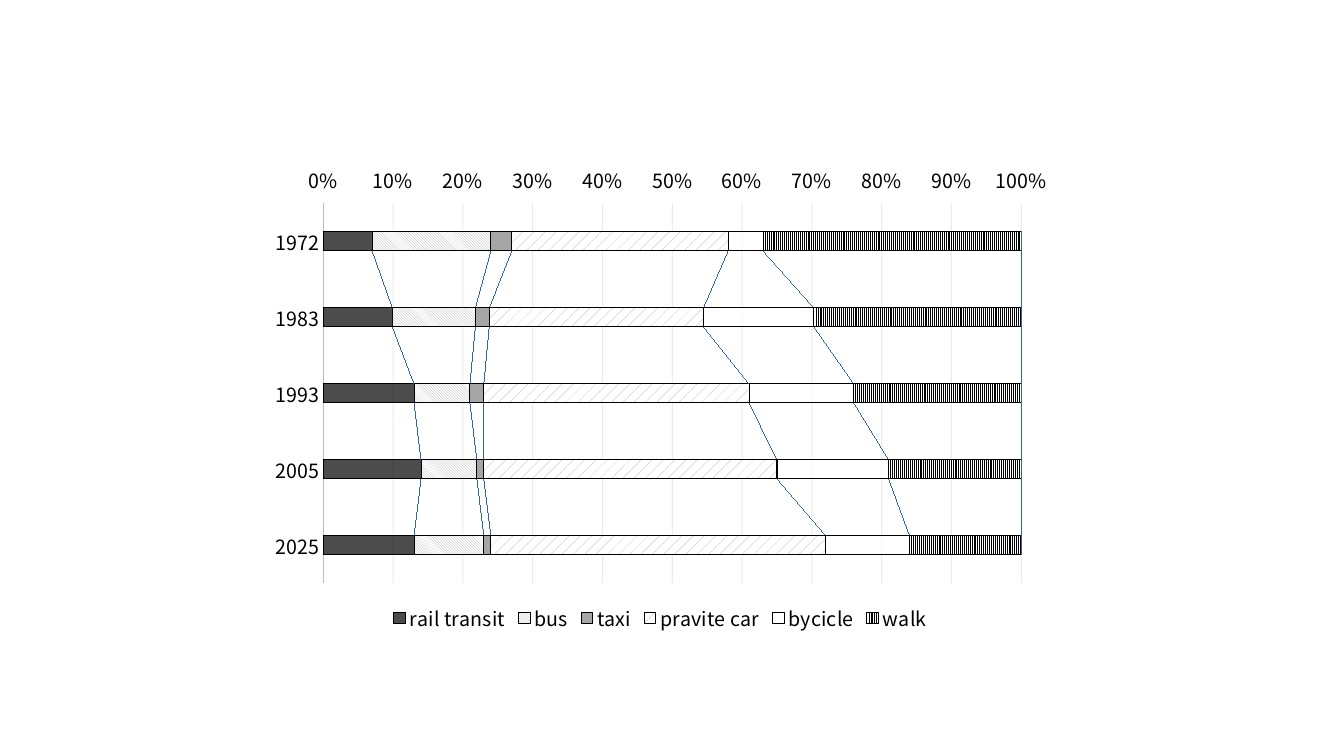
from lxml import etree
from pptx import Presentation
from pptx import util as u
from pptx.chart import data as chart_data
from pptx.dml.color import RGBColor
from pptx.enum import chart as charts
from pptx.enum.dml import MSO_PATTERN
from pptx.oxml.ns import qn

BLACK = RGBColor(0, 0, 0)
WHITE = RGBColor(255, 255, 255)
GRAY = RGBColor(0x80, 0x80, 0x80)
HATCH = RGBColor(0xA6, 0xA6, 0xA6)
AXIS = RGBColor(0xBF, 0xBF, 0xBF)
GRID = RGBColor(0xD9, 0xD9, 0xD9)
FONT = "Noto Sans CJK SC"

YEARS = ["1972", "1983", "1993", "2005", "2025"]
MODES = [
    ("rail transit", (7, 10, 13, 14, 13), BLACK, None),
    ("bus", (17, 12, 8, 8, 10), HATCH, MSO_PATTERN.LIGHT_DOWNWARD_DIAGONAL),
    ("taxi", (3, 2, 2, 1, 1), GRAY, None),
    ("pravite car", (31, 31, 38, 42, 48), HATCH, MSO_PATTERN.PERCENT_10),
    ("bycicle", (5, 16, 15, 16, 12), WHITE, None),
    ("walk", (37, 30, 24, 19, 16), BLACK, MSO_PATTERN.NARROW_VERTICAL),
]
PLOT_AREA = {"x": 0.08, "y": 0.1, "w": 0.87, "h": 0.79}


def apply(target, values):
    """Set each named attribute on the target."""
    for name, value in values.items():
        setattr(target, name, value)


def set_font(font, size):
    """Give a font the chart's typeface, size and colour."""
    apply(font, {"name": FONT, "size": u.Pt(size), "bold": False})
    font.color.rgb = BLACK


def set_line(line, color):
    """Give a line its colour and the common width."""
    line.color.rgb = color
    line.width = u.Pt(0.75)


def set_alpha(parent, percent):
    """Make the first colour below the parent partly transparent."""
    color = next(parent.iter(qn("a:srgbClr")))
    etree.SubElement(color, qn("a:alpha"), val=str(percent * 1000))


def style_series(series, color, pattern):
    """Fill and outline one travel mode."""
    fill = series.format.fill
    if pattern is None:
        fill.solid()
        fill.fore_color.rgb = color
        set_alpha(series.format._element if hasattr(series.format, "_element")
                  else series._element, 70)
    else:
        fill.patterned()
        fill.pattern = pattern
        fill.fore_color.rgb = color
        fill.back_color.rgb = WHITE
    set_line(series.format.line, BLACK)


def place_plot(chart):
    """Fix the inner plot area as fractions of the chart."""
    area = chart._chartSpace.chart.plotArea
    for old in area.findall(qn("c:layout")):
        area.remove(old)
    layout = etree.Element(qn("c:layout"))
    area.insert(0, layout)
    manual = etree.SubElement(layout, qn("c:manualLayout"))
    settings = {"layoutTarget": "inner", "xMode": "edge", "yMode": "edge", **PLOT_AREA}
    for name, value in settings.items():
        etree.SubElement(manual, qn(f"c:{name}"), val=str(value))


def add_mode_chart(page):
    """Add the stacked bars with lines joining the years."""
    data = chart_data.CategoryChartData()
    data.categories = YEARS
    for name, values, _, _ in MODES:
        data.add_series(name, values)
    chart = page.shapes.add_chart(
        charts.XL_CHART_TYPE.BAR_STACKED_100,
        u.Cm(6.53), u.Cm(3.91), u.Cm(20.22), u.Cm(12.12), data).chart
    set_font(chart.font, 10)
    apply(chart, {"has_title": False, "has_legend": True})
    apply(chart.legend, {"position": charts.XL_LEGEND_POSITION.BOTTOM,
                         "include_in_layout": False})
    set_font(chart.legend.font, 14)

    plot = chart.plots[0]
    apply(plot, {"gap_width": 300, "overlap": 100, "vary_by_categories": False})
    for series, (_, _, color, pattern) in zip(plot.series, MODES):
        style_series(series, color, pattern)
    plot._element.find(qn("c:overlap")).addnext(etree.Element(qn("c:serLines")))

    years, shares = chart.category_axis, chart.value_axis
    apply(years, {"reverse_order": True, "has_major_gridlines": False,
                  "major_tick_mark": charts.XL_TICK_MARK.NONE})
    set_line(years.format.line, AXIS)
    apply(shares, {"has_major_gridlines": True, "minimum_scale": 0, "maximum_scale": 1,
                   "major_unit": 0.1, "major_tick_mark": charts.XL_TICK_MARK.OUTSIDE})
    apply(shares.tick_labels, {"number_format": "0%", "number_format_is_linked": False})
    shares.format.line.fill.background()
    set_line(shares.major_gridlines.format.line, GRID)
    set_alpha(shares._element.find(qn("c:majorGridlines")), 50)
    for axis in (years, shares):
        set_font(axis.tick_labels.font, 14)
    place_plot(chart)


def main():
    """Build the slide and save the deck."""
    deck = Presentation()
    apply(deck, {"slide_width": u.Cm(33.87), "slide_height": u.Cm(19.05)})
    page = deck.slides.add_slide(deck.slide_layouts[6])
    add_mode_chart(page)
    deck.save("out.pptx")


if __name__ == "__main__":
    main()
